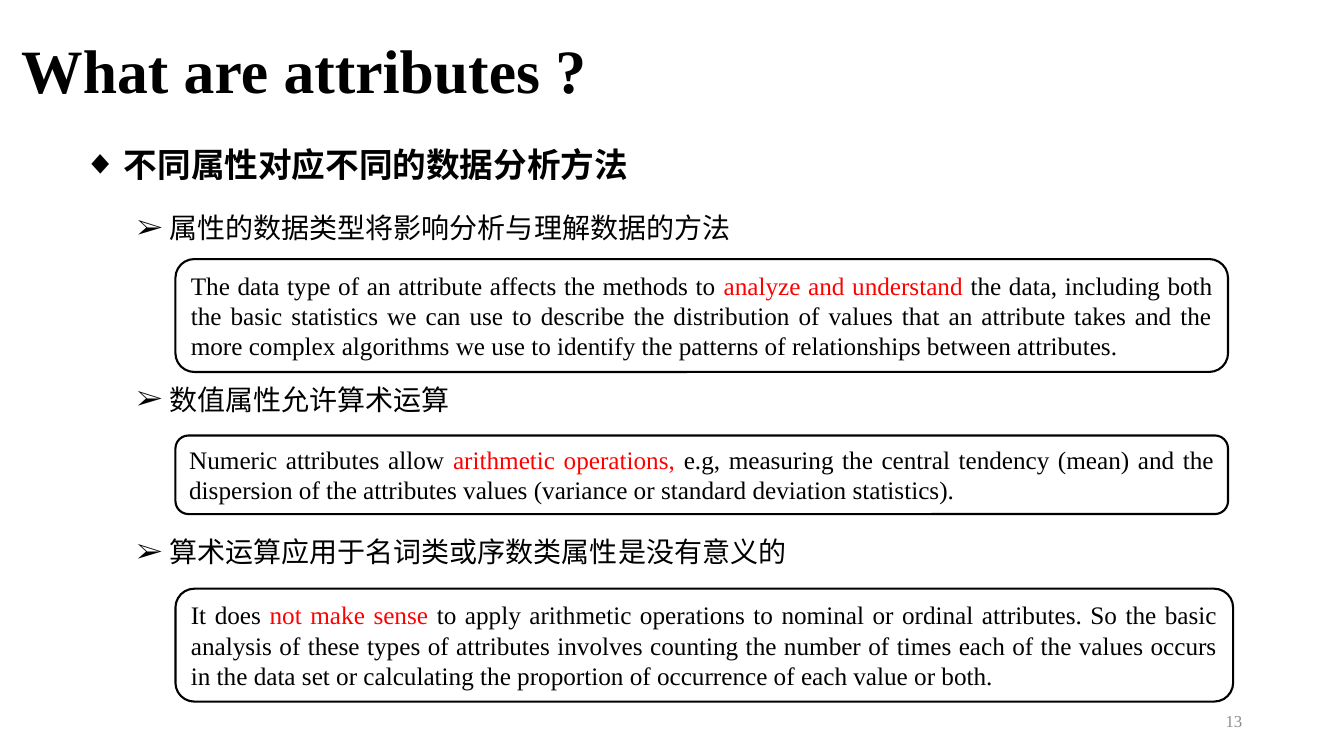
import dataclasses

import lxml.etree
import pptx
import pptx.dml.color
import pptx.enum.shapes
import pptx.enum.text
import pptx.oxml.ns
import pptx.util

Inches = pptx.util.Inches
Align = pptx.enum.text.PP_ALIGN
Anchor = pptx.enum.text.MSO_ANCHOR


@dataclasses.dataclass(frozen=True)
class Theme:
    font: str = "Times New Roman"
    text: str = "000000"
    accent: str = "FF0000"
    muted: str = "8C8C8C"
    paper: str = "FFFFFF"
    title_size: int = 44
    heading_size: int = 24
    point_size: int = 20
    box_size: int = 18
    number_size: int = 12
    outline: float = 1.5


class SlideBuilder:
    def __init__(self, slide, theme):
        self.slide = slide
        self.theme = theme

    def color(self, name):
        return pptx.dml.color.RGBColor.from_string(name)

    def place(self, shape, left, top, width, height):
        shape.left, shape.top = Inches(left), Inches(top)
        shape.width, shape.height = Inches(width), Inches(height)

    def text_box(self, *bounds):
        return self.slide.shapes.add_textbox(*map(Inches, bounds))

    def set_text(self, shape, text, size, color, bold=False, align=Align.LEFT,
                 spacing=1.0, anchor=Anchor.TOP, bullet=None, indent=0):
        frame = shape.text_frame
        frame.word_wrap = True
        frame.auto_size = pptx.enum.text.MSO_AUTO_SIZE.NONE
        frame.vertical_anchor = anchor
        paragraph = frame.paragraphs[0]
        paragraph.text = text
        paragraph.alignment = align
        paragraph.line_spacing = spacing
        paragraph.space_before = pptx.util.Pt(0)
        if bullet:
            properties = paragraph._p.get_or_add_pPr()
            properties.set("marL", str(Inches(indent)))
            properties.set("indent", str(-Inches(indent)))
            lxml.etree.SubElement(
                properties, pptx.oxml.ns.qn("a:buFont"), typeface=self.theme.font)
            lxml.etree.SubElement(
                properties, pptx.oxml.ns.qn("a:buChar"), char=bullet)
        self.style(paragraph.font, size, color, bold)
        return paragraph

    def style(self, font, size, color, bold):
        font.name = self.theme.font
        font.size = pptx.util.Pt(size)
        font.bold = bold
        font.color.rgb = self.color(color)

    def title(self, text):
        shape = self.slide.shapes.title
        self.place(shape, 0.11, 0, 11.5, 1.45)
        self.set_text(shape, text, self.theme.title_size, self.theme.text,
                      bold=True, spacing=0.9, anchor=Anchor.MIDDLE)

    def heading(self, text):
        self.set_text(self.text_box(0.73, 1.28, 7.07, 0.56), text,
                      self.theme.heading_size, self.theme.text, bold=True,
                      align=Align.JUSTIFY, spacing=1.25, bullet="◆", indent=0.4)

    def point(self, text, top, shape=None):
        bounds = (1.26, top, 8.62, 0.68)
        if shape is None:
            shape = self.text_box(*bounds)
        else:
            self.place(shape, *bounds)
        self.set_text(shape, text, self.theme.point_size, self.theme.text,
                      spacing=0.9, bullet="➢", indent=0.32)

    def explanation(self, parts, top, width, height):
        shape = self.slide.shapes.add_shape(
            pptx.enum.shapes.MSO_SHAPE.ROUNDED_RECTANGLE,
            *map(Inches, (1.74, top, width, height)))
        shape.shadow.inherit = False
        shape.fill.solid()
        shape.fill.fore_color.rgb = self.color(self.theme.paper)
        shape.line.color.rgb = self.color(self.theme.text)
        shape.line.width = pptx.util.Pt(self.theme.outline)
        paragraph = self.set_text(
            shape, "", self.theme.box_size, self.theme.text,
            align=Align.JUSTIFY, anchor=Anchor.MIDDLE)
        colors = (self.theme.text, self.theme.accent, self.theme.text)
        for part, color in zip(parts, colors):
            run = paragraph.add_run()
            run.text = part
            run.font.color.rgb = self.color(color)

    def page_number(self, text):
        self.set_text(self.text_box(9.42, 6.95, 3, 0.4), text,
                      self.theme.number_size, self.theme.muted,
                      align=Align.RIGHT, anchor=Anchor.MIDDLE)


SECTIONS = [
    ("属性的数据类型将影响分析与理解数据的方法", 2.08,
     ("The data type of an attribute affects the methods to ",
      "analyze and understand ",
      "the data, including both the basic statistics we can use to describe "
      "the distribution of values that an attribute takes and the more complex "
      "algorithms we use to identify the patterns of relationships between "
      "attributes."),
     (2.57, 10.44, 1.12)),
    ("数值属性允许算术运算", 3.78,
     ("Numeric attributes allow ",
      "arithmetic operations, ",
      "e.g, measuring the central tendency (mean) and the dispersion of the "
      "attributes values (variance or standard deviation statistics)."),
     (4.32, 10.44, 0.78)),
    ("算术运算应用于名词类或序数类属性是没有意义的", 5.29,
     ("It does ",
      "not make sense ",
      "to apply arithmetic operations to nominal or ordinal attributes. So the "
      "basic analysis of these types of attributes involves counting the number "
      "of times each of the values occurs in the data set or calculating the "
      "proportion of occurrence of each value or both."),
     (5.84, 10.49, 1.12)),
]


def main():
    presentation = pptx.Presentation()
    presentation.slide_width = Inches(13.33)
    presentation.slide_height = Inches(7.5)
    slide = presentation.slides.add_slide(presentation.slide_layouts[1])
    builder = SlideBuilder(slide, Theme())
    builder.title("What are attributes ?")
    builder.heading("不同属性对应不同的数据分析方法")
    body = slide.placeholders[1]
    for point, point_top, parts, box in SECTIONS:
        builder.point(point, point_top, body)
        builder.explanation(parts, *box)
        body = None
    builder.page_number("13")
    presentation.save("out.pptx")


if __name__ == "__main__":
    main()
